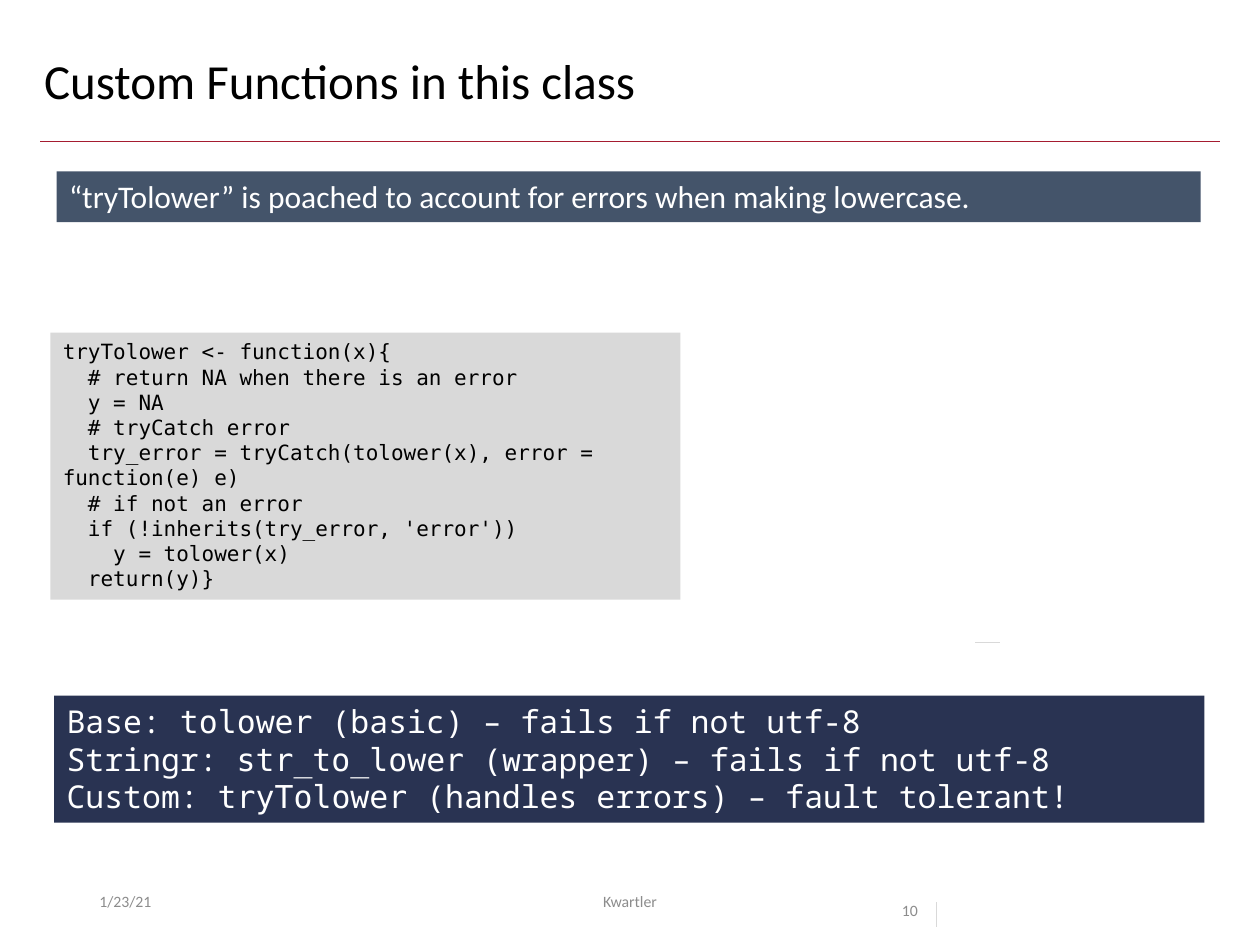
from pptx import Presentation
from pptx.util import Pt
from pptx.dml.color import RGBColor
from pptx.enum.shapes import MSO_CONNECTOR, MSO_SHAPE
from pptx.enum.text import MSO_ANCHOR, PP_ALIGN
from pptx.oxml.ns import qn
from lxml import etree

RECT = MSO_SHAPE.RECTANGLE
LINE = MSO_CONNECTOR.STRAIGHT
TOP, MID = MSO_ANCHOR.TOP, MSO_ANCHOR.MIDDLE
LEFT, CENTER = PP_ALIGN.LEFT, PP_ALIGN.CENTER
BLACK = RGBColor(0x00, 0x00, 0x00)
WHITE = RGBColor(0xFF, 0xFF, 0xFF)
GRAY = RGBColor(0x8C, 0x8C, 0x8C)
PALE = RGBColor(0xD9, 0xD9, 0xD9)
SLATE = RGBColor(0x44, 0x54, 0x6A)
NAVY = RGBColor(0x29, 0x33, 0x52)
RED = RGBColor(0xA5, 0x1C, 0x30)
SANS, MONO, NOTO = "Calibri", "DejaVu Sans Mono", "Noto Sans Mono"

deck = Presentation()
deck.slide_width, deck.slide_height = Pt(720), Pt(540)
slide = deck.slides.add_slide(deck.slide_layouts[5])
shapes = slide.shapes


def write(shape, lines, size, color, anchor=TOP, align=LEFT):
    """Fill a shape with lines, each a list of (text, font) runs."""
    frame = shape.text_frame
    frame.word_wrap = True
    frame.vertical_anchor = anchor
    for i, line in enumerate(lines):
        para = frame.paragraphs[0] if i == 0 else frame.add_paragraph()
        para.alignment = align
        for text, font in line:
            run = para.add_run()
            run.text = text
            run.font.name = font
            run.font.size = Pt(size)
            run.font.color.rgb = color
    return frame


# Title
title = shapes.title
title.left, title.top, title.width, title.height = Pt(18), Pt(28.8), Pt(681.84), Pt(46.8)
frame = write(title, [[("Custom Functions in this class", SANS)]], 28, BLACK)
frame.paragraphs[0].line_spacing = 0.9

# Title rule and small marks
for x1, y1, x2, y2, color in [
    (23.04, 80.64, 696.96, 80.64, RED),
    (534.96, 515.52, 534.96, 529.92, PALE),
    (557.28, 367.2, 571.68, 367.2, PALE),
]:
    rule = shapes.add_connector(LINE, Pt(x1), Pt(y1), Pt(x2), Pt(y2))
    rule.line.color.rgb = color
    rule.line.width = Pt(0.5)
    etree.SubElement(rule._element.spPr, qn("a:effectLst"))

# Filled panels: claim, code, comparison
claim = [[("“tryTolower” is poached to account for errors when making lowercase. ", SANS)]]
code = [[(text, MONO)] for text in (
    "tryTolower <- function(x){",
    "  # return NA when there is an error",
    "  y = NA",
    "  # tryCatch error",
    "  try_error = tryCatch(tolower(x), error = function(e) e)",
    "  # if not an error",
    "  if (!inherits(try_error, 'error'))",
    "    y = tolower(x)",
    "  return(y)}",
)]
kinds = [[(kind + ": ", NOTO), (func, MONO), (note, NOTO)] for kind, func, note in (
    ("Base", "tolower", " (basic) – fails if not utf-8"),
    ("Stringr", "str_to_lower", " (wrapper) – fails if not utf-8"),
    ("Custom", "tryTolower", " (handles errors) – fault tolerant!"),
)]
for x, y, w, h, fill, lines, size, color in [
    (32.4, 97.92, 653.76, 29.08, SLATE, claim, 18, WHITE),
    (28.8, 190.08, 360, 152.64, PALE, code, 12, BLACK),
    (30.96, 397.44, 657.36, 72.72, NAVY, kinds, 18, WHITE),
]:
    panel = shapes.add_shape(RECT, Pt(x), Pt(y), Pt(w), Pt(h))
    panel.shadow.inherit = False
    panel.fill.solid()
    panel.fill.fore_color.rgb = fill
    panel.line.fill.background()
    write(panel, lines, size, color)

# Footer: date, author, page number
for x, w, text, anchor, align in [
    (49.68, 162, "1/23/21", MID, LEFT),
    (238.32, 243.36, "Kwartler", MID, CENTER),
    (508.32, 67.68, "10", TOP, LEFT),
]:
    box = shapes.add_textbox(Pt(x), Pt(500.4), Pt(w), Pt(28.8))
    frame = write(box, [[(text, SANS)]], 9, GRAY, anchor, align)
frame.paragraphs[0].line_spacing = 2.0

deck.save("out.pptx")
